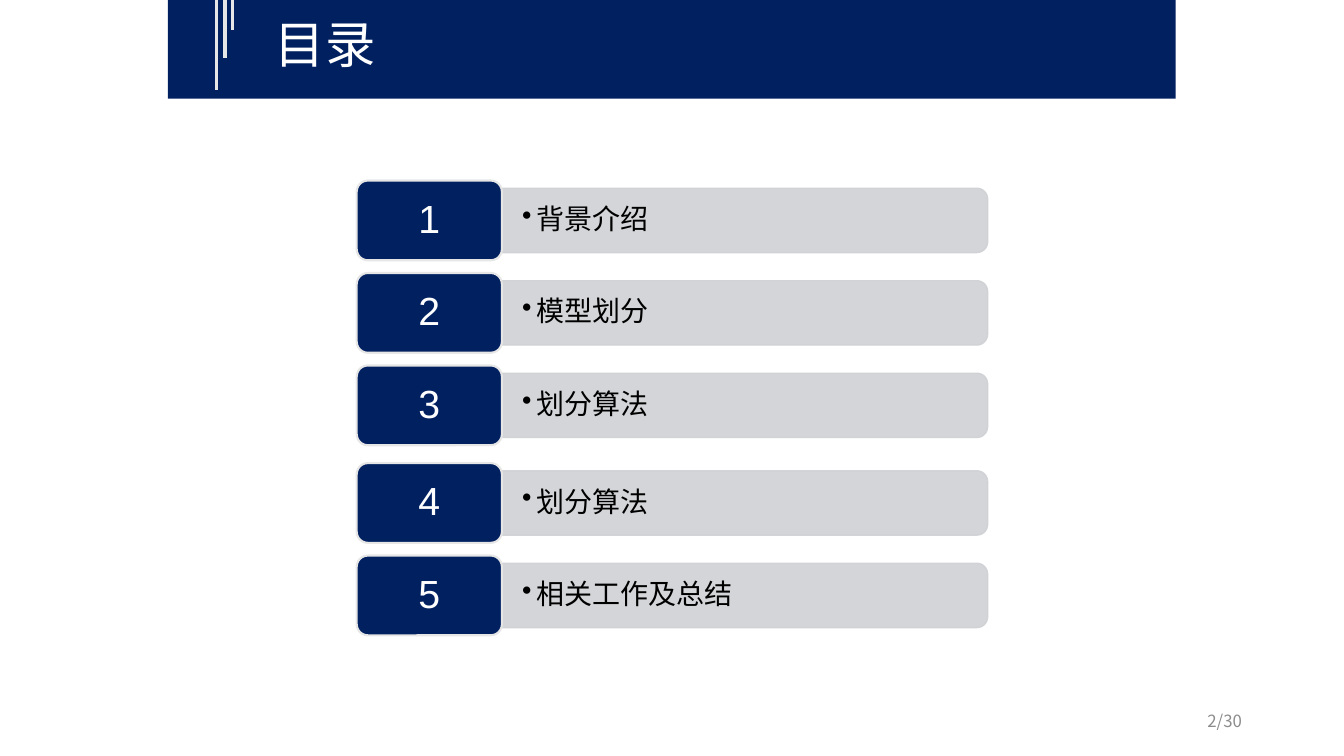
import math

import pptx
import pptx.dml.color
import pptx.enum.shapes
import pptx.enum.text
import pptx.oxml.ns
import pptx.util
from lxml import etree

Cm = pptx.util.Cm
Pt = pptx.util.Pt
SHAPE = pptx.enum.shapes.MSO_SHAPE
ALIGN = pptx.enum.text.PP_ALIGN
MIDDLE = pptx.enum.text.MSO_ANCHOR.MIDDLE
qn = pptx.oxml.ns.qn

NAVY = pptx.dml.color.RGBColor(0x00, 0x20, 0x60)
BAR_GRAY = pptx.dml.color.RGBColor(0xCF, 0xD1, 0xD4)
LIGHT_GRAY = pptx.dml.color.RGBColor(0xE7, 0xE6, 0xE6)
PAGE_GRAY = pptx.dml.color.RGBColor(0x8C, 0x8C, 0x8C)
WHITE = pptx.dml.color.RGBColor(0xFF, 0xFF, 0xFF)
BLACK = pptx.dml.color.RGBColor(0x00, 0x00, 0x00)
CJK_FONT = "Noto Sans CJK SC"


def write_text(shape, text, size, color, font_name=CJK_FONT, align=ALIGN.LEFT):
    """Fill the shape with one paragraph and return that paragraph."""
    text_frame = shape.text_frame
    text_frame.word_wrap = True
    text_frame.text = text
    paragraph = text_frame.paragraphs[0]
    paragraph.alignment = align
    font = paragraph.runs[0].font
    font.size = Pt(size)
    font.color.rgb = color
    font.name = font_name
    latin = font._element.find(qn("a:latin"))
    latin.addnext(latin.makeelement(qn("a:ea"), {"typeface": font_name}))
    return paragraph


def paint(shape, fill_color, line_color=None, line_width=1):
    shape.shadow.inherit = False
    shape.fill.solid()
    shape.fill.fore_color.rgb = fill_color
    if line_color is None:
        shape.line.fill.background()
    else:
        shape.line.color.rgb = line_color
        shape.line.width = Pt(line_width)


presentation = pptx.Presentation()
presentation.slide_width = Cm(33.87)
presentation.slide_height = Cm(19.05)
slide = presentation.slides.add_slide(presentation.slide_layouts[6])
shapes = slide.shapes

# Title band
band = shapes.add_shape(SHAPE.RECTANGLE, Cm(4.23), 0, Cm(25.4), Cm(2.49))
paint(band, NAVY)

for x, bottom in [(5.46, 2.26), (5.67, 1.47), (5.87, 0.76)]:
    stripe = shapes.add_connector(
        pptx.enum.shapes.MSO_CONNECTOR.STRAIGHT, Cm(x), Cm(-0.08), Cm(x), Cm(bottom))
    stripe.line.color.rgb = LIGHT_GRAY
    stripe.line.width = Pt(2.25)
    etree.SubElement(stripe._element.spPr, qn("a:effectLst"))

title = shapes.add_textbox(Cm(6.68), Cm(0.2), Cm(7.7), Cm(1.8))
write_text(title, "目录", 36, WHITE)

# Agenda rows: a numbered badge in front of a bar rounded on its right side
badge_left, badge_width, badge_height = 8.99, 3.66, 2.01
bar_left, bar_width, bar_height = badge_left + badge_width, 12.24, 1.62
bar_right = bar_left + bar_width
radius = 0.27
first_top, row_pitch, group_gap = 4.55, 2.33, 0.13
topics = ["背景介绍", "模型划分", "划分算法", "划分算法", "相关工作及总结"]

for index, topic in enumerate(topics):
    badge_top = first_top + index * row_pitch + (group_gap if index >= 3 else 0)
    bar_top = badge_top + (badge_height - bar_height) / 2
    bar_bottom = bar_top + bar_height

    outline = []
    for center_y, start_angle in [(bar_top + radius, -90), (bar_bottom - radius, 0)]:
        for angle in range(start_angle, start_angle + 91, 10):
            outline.append((
                Cm(bar_right - radius + radius * math.cos(math.radians(angle))),
                Cm(center_y + radius * math.sin(math.radians(angle)))))
    outline.append((Cm(bar_left), Cm(bar_bottom)))
    builder = shapes.build_freeform(Cm(bar_left), Cm(bar_top))
    builder.add_line_segments(outline, close=True)
    bar = builder.convert_to_shape()
    paint(bar, BAR_GRAY, BAR_GRAY)
    for color in bar._element.spPr.iter(qn("a:srgbClr")):
        etree.SubElement(color, qn("a:alpha"), val="90000")
    bar.text_frame.vertical_anchor = MIDDLE
    bar.text_frame.margin_left = Cm(0.51)
    bar.text_frame.margin_right = Cm(0.58)
    bar.text_frame.margin_top = bar.text_frame.margin_bottom = Cm(0.33)
    paragraph = write_text(bar, topic, 20, BLACK)
    paragraph.level = 1
    paragraph.line_spacing = 0.9
    properties = paragraph._p.get_or_add_pPr()
    properties.set("marL", str(Cm(0.36)))
    properties.set("indent", str(Cm(-0.36)))
    etree.SubElement(properties, qn("a:buChar"), char="•")

    badge = shapes.add_shape(
        SHAPE.ROUNDED_RECTANGLE, Cm(badge_left), Cm(badge_top),
        Cm(badge_width), Cm(badge_height))
    badge.adjustments[0] = 0.14
    paint(badge, NAVY, LIGHT_GRAY, 1.5)
    badge.text_frame.vertical_anchor = MIDDLE
    badge.text_frame.margin_left = badge.text_frame.margin_right = Cm(0.38)
    badge.text_frame.margin_top = badge.text_frame.margin_bottom = Cm(0.23)
    number = write_text(badge, str(index + 1), 28, WHITE, "Arial", ALIGN.CENTER)
    number.line_spacing = 0.9

# Page number
page_number = shapes.add_textbox(Cm(23.93), Cm(17.65), Cm(7.62), Cm(1.02))
page_number.text_frame.vertical_anchor = MIDDLE
write_text(page_number, "2/30", 12, PAGE_GRAY, align=ALIGN.RIGHT)

presentation.save("out.pptx")
